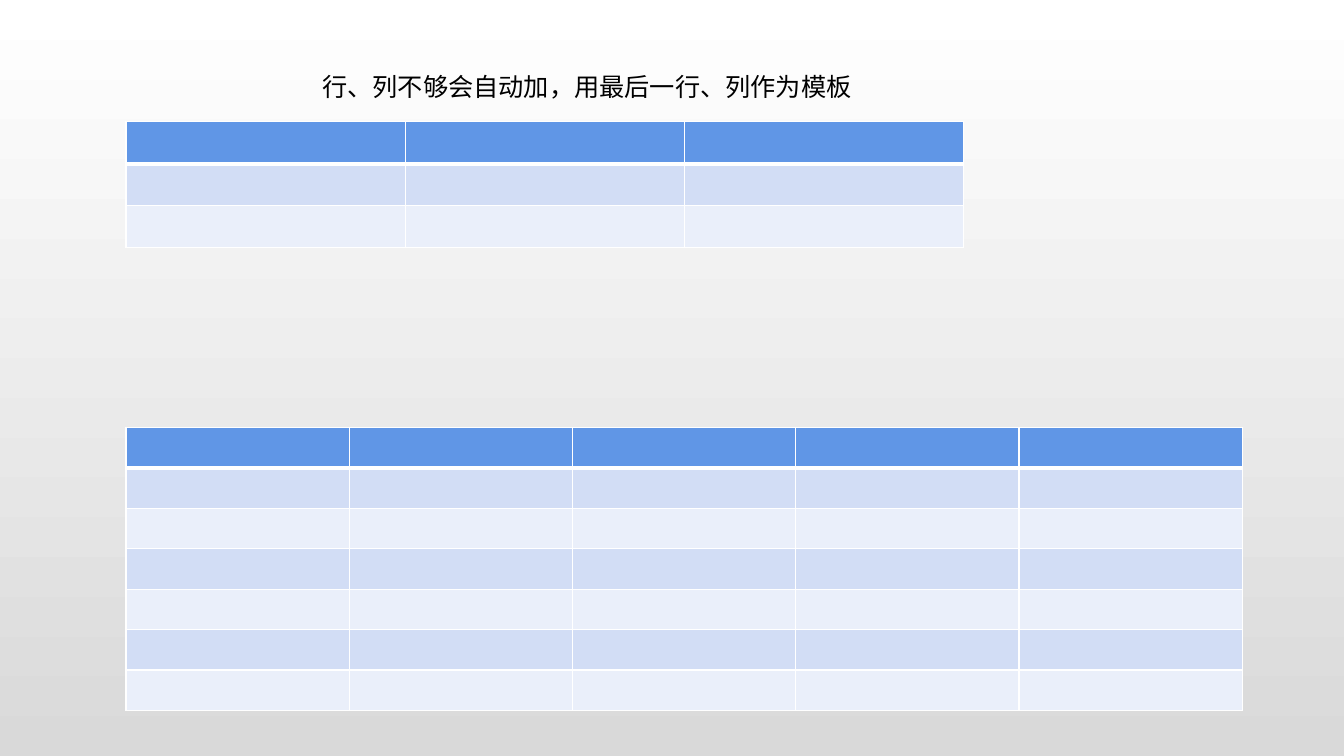
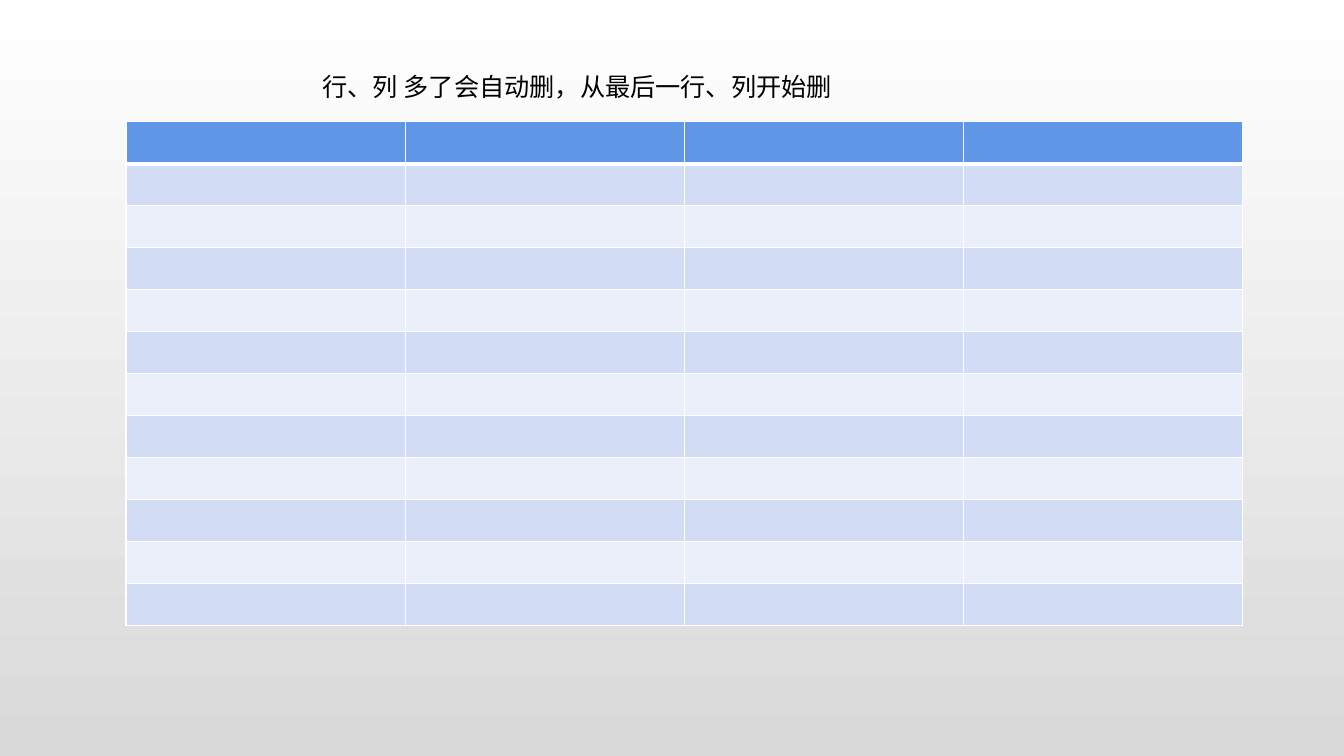
"""Build two slides that show tables growing and shrinking by row and column."""
import dataclasses

import lxml.etree
import pptx
import pptx.dml.color
import pptx.enum.text
import pptx.oxml.ns
import pptx.presentation
import pptx.slide
import pptx.table
import pptx.util

Pt = pptx.util.Pt
qn = pptx.oxml.ns.qn

WHITE, GREY, BLACK = "FFFFFF", "D9D9D9", "000000"
HEAD, BANDS = "6096E6", ("D2DDF5", "EAEFFA")
FONT, SIZE = "Arial", 18
LEFT, FULL = 90, 797.5
THIN, THICK = 1, 3


@dataclasses.dataclass(frozen=True)
class Grid:
    top: float
    rows: int
    cols: int
    width: float
    height: float


@dataclasses.dataclass(frozen=True)
class Page:
    title: str
    width: float
    grids: tuple[Grid, ...]


PAGES = (
    Page("行、列不够会自动加，用最后一行、列作为模板", 392.4, (
        Grid(87, 3, 3, FULL / 4, 30),
        Grid(305.3, 7, 5, FULL / 5, 28.9),
    )),
    Page("行、列 多了会自动删，从最后一行、列开始删", 379.4, (
        Grid(87, 12, 4, FULL / 4, 30),
    )),
)


def color(code: str) -> pptx.dml.color.RGBColor:
    return pptx.dml.color.RGBColor.from_string(code)


def add_back(deck: pptx.presentation.Presentation) -> None:
    fill = deck.slide_master.background.fill
    fill.gradient()
    fill.gradient_angle = 270
    for stop, code in zip(fill.gradient_stops, (WHITE, GREY)):
        stop.color.rgb = color(code)


def add_edge(cell: pptx.table._Cell, side: str, width: float) -> None:
    props = cell._tc.get_or_add_tcPr()
    line = lxml.etree.SubElement(props, qn(f"a:ln{side}"), w=str(Pt(width)))
    fill = lxml.etree.SubElement(line, qn("a:solidFill"))
    lxml.etree.SubElement(fill, qn("a:srgbClr"), val=WHITE)


def style_cell(cell: pptx.table._Cell, row: int) -> None:
    cell.margin_top = cell.margin_bottom = 0
    add_edge(cell, "L", THIN)
    add_edge(cell, "R", THIN)
    add_edge(cell, "T", THICK if row == 1 else THIN)
    add_edge(cell, "B", THICK if row == 0 else THIN)
    cell.fill.solid()
    cell.fill.fore_color.rgb = color(BANDS[(row - 1) % 2] if row else HEAD)


def add_grid(slide: pptx.slide.Slide, grid: Grid) -> None:
    table = slide.shapes.add_table(
        grid.rows, grid.cols, Pt(LEFT), Pt(grid.top),
        Pt(grid.width * grid.cols), Pt(grid.height * grid.rows)).table
    for col in table.columns:
        col.width = Pt(grid.width)
    for index, row in enumerate(table.rows):
        row.height = Pt(grid.height)
        for cell in row.cells:
            style_cell(cell, index)


def add_title(slide: pptx.slide.Slide, page: Page) -> None:
    box = slide.shapes.add_textbox(Pt(223.2), Pt(47.5), Pt(page.width), Pt(29))
    frame = box.text_frame
    frame.word_wrap = False
    frame.auto_size = pptx.enum.text.MSO_AUTO_SIZE.SHAPE_TO_FIT_TEXT
    frame.text = page.title
    font = frame.paragraphs[0].runs[0].font
    font.name, font.size = FONT, Pt(SIZE)
    font.color.rgb = color(BLACK)


def main() -> None:
    deck = pptx.Presentation()
    deck.slide_width, deck.slide_height = Pt(960), Pt(540)
    add_back(deck)
    for page in PAGES:
        slide = deck.slides.add_slide(deck.slide_layouts[6])
        for grid in page.grids:
            add_grid(slide, grid)
        add_title(slide, page)
    deck.save("out.pptx")


if __name__ == "__main__":
    main()
